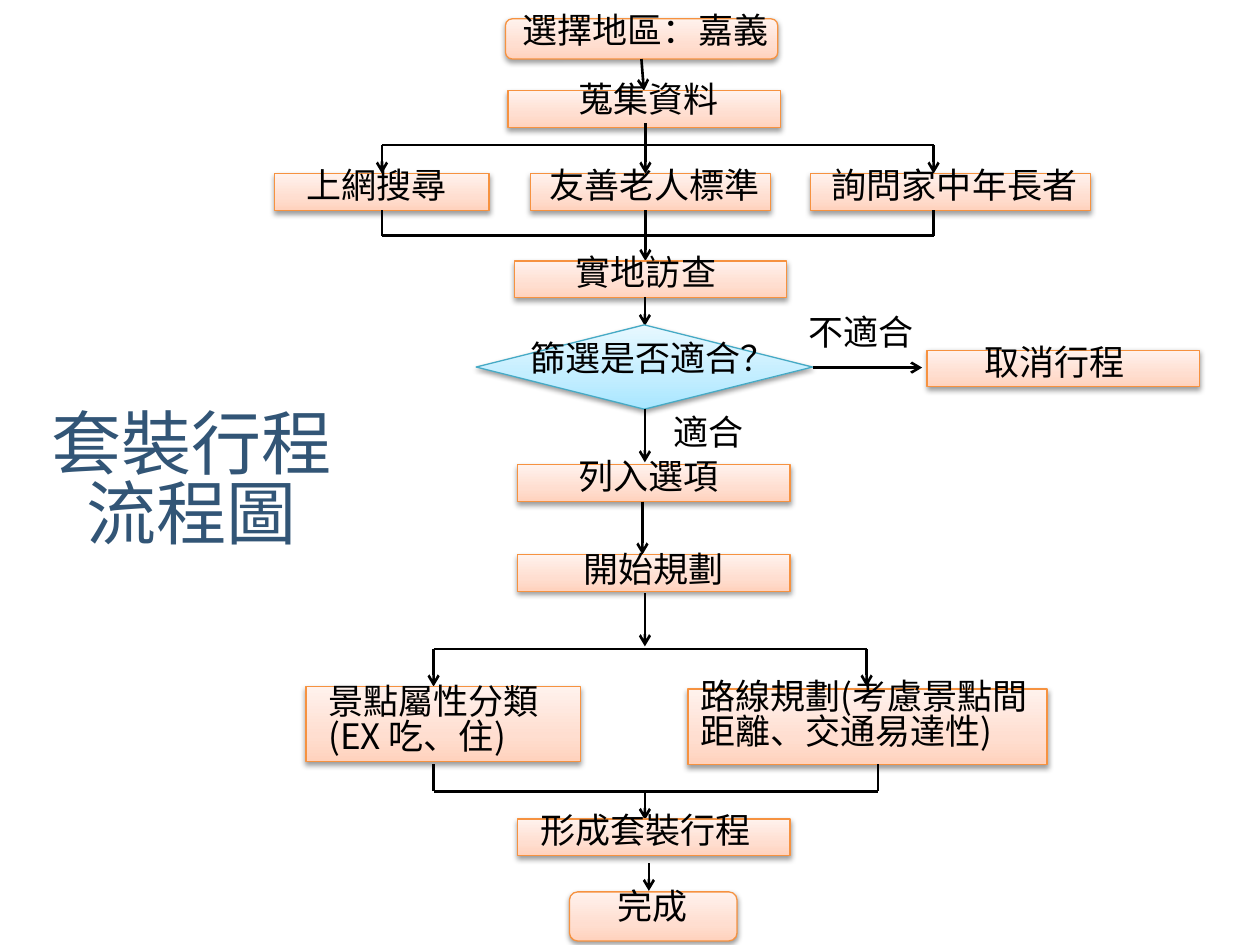
from dataclasses import dataclass

from lxml import etree
from pptx import Presentation
from pptx import util as u
from pptx.dml.color import RGBColor
from pptx.enum import shapes, text
from pptx.oxml.ns import qn

RECT = shapes.MSO_SHAPE.RECTANGLE
ROUND = shapes.MSO_SHAPE.ROUNDED_RECTANGLE
DIAMOND = shapes.MSO_SHAPE.DIAMOND


@dataclass(frozen=True)
class Theme:
    font: str = "Noto Sans CJK SC"
    body: int = 20
    heading: int = 40
    spacing: float = 0.84
    ink: str = "000000"
    title: str = "325576"
    step_fill: tuple = ("FFD2BD", "FFDED0", "FFF2ED")
    step_line: str = "F69240"
    choice_fill: tuple = ("A7E6FF", "C1EDFF", "E7F8FF")
    choice_line: str = "46AAC5"
    border: float = 0.75
    flow: float = 1.5


T = Theme()


@dataclass
class Region:
    """Part of the slide; its parts are placed in cm from its left top corner."""
    shapes: object
    left: float
    top: float

    def at(self, x, y):
        return u.Cm(self.left + x), u.Cm(self.top + y)


def add_colour(parent, colour, alpha=None):
    clr = etree.SubElement(parent, qn("a:srgbClr"), val=colour)
    if alpha:
        etree.SubElement(clr, qn("a:alpha"), val=str(alpha * 1000))


def add_text(rg, words, x, y, w, h=0.86, *, size=T.body, colour=T.ink, align=None):
    tb = rg.shapes.add_textbox(*rg.at(x, y), u.Cm(w), u.Cm(h))
    tf = tb.text_frame
    tf.word_wrap = True
    tf.auto_size = text.MSO_AUTO_SIZE.SHAPE_TO_FIT_TEXT
    for i, line in enumerate(words.split("\n")):
        p = tf.paragraphs[0] if i == 0 else tf.add_paragraph()
        p.alignment = align
        p.line_spacing = T.spacing
        r = p.add_run()
        r.text = line
        r.font.name = T.font
        r.font.size = u.Pt(size)
        r.font.color.rgb = RGBColor.from_string(colour)
        etree.SubElement(r.font._element, qn("a:ea"), typeface=T.font)


def add_node(rg, x, y, w, h, kind, fill, line):
    """Outlined shape with a three-stop upward gradient and a soft shadow."""
    s = rg.shapes.add_shape(kind, *rg.at(x, y), u.Cm(w), u.Cm(h))
    s.line.color.rgb = RGBColor.from_string(line)
    s.line.width = u.Pt(T.border)
    s.fill.gradient()
    s.fill.gradient_angle = 90
    stops = s._element.spPr.find(".//" + qn("a:gsLst"))
    for gs in list(stops):
        stops.remove(gs)
    for pos, colour in zip((0, 35, 100), fill):
        add_colour(etree.SubElement(stops, qn("a:gs"), pos=str(pos * 1000)), colour)
    s.shadow.inherit = False
    shadow = etree.SubElement(
        s._element.spPr.find(qn("a:effectLst")), qn("a:outerShdw"),
        blurRad=str(u.Pt(3.1)), dist=str(u.Pt(1.6)), dir="5400000", rotWithShape="0")
    add_colour(shadow, "000000", alpha=38)


def add_step(rg, words, x, y, dx, dw, *, w=5.49, h=0.74, dy=-0.19, dh=0.86,
             kind=RECT, fill=T.step_fill, line=T.step_line):
    """Node with its label, whose place (dx, dy) is measured from the node."""
    add_node(rg, x, y, w, h, kind, fill, line)
    add_text(rg, words, x + dx, y + dy, dw, dh)


def add_line(rg, x1, y1, x2, y2, arrow=False):
    c = rg.shapes.add_connector(shapes.MSO_CONNECTOR.STRAIGHT, *rg.at(x1, y1), *rg.at(x2, y2))
    c.line.color.rgb = RGBColor.from_string(T.ink)
    c.line.width = u.Pt(T.flow)
    if arrow:
        etree.SubElement(c.line._get_or_add_ln(), qn("a:tailEnd"), type="arrow")
    etree.SubElement(c._element.spPr, qn("a:effectLst"))


def add_fork(rg, xs, y, end):
    """Bar at height y with an arrow down from each x."""
    add_line(rg, xs[0], y, xs[-1], y)
    for x in xs:
        add_line(rg, x, y, x, end, arrow=True)


def add_join(rg, xs, start, y, axis, end):
    """Lines down to a bar at height y, then one arrow down the axis."""
    for x in xs:
        add_line(rg, x, start, x, y)
    add_line(rg, xs[0], y, xs[-1], y)
    add_line(rg, axis, y, axis, end, arrow=True)


def title(rg):
    add_text(rg, "套裝行程\n流程圖", 0, 0, 6.81, 3.68, size=T.heading,
             colour=T.title, align=text.PP_ALIGN.CENTER)


def gathering(rg):
    axis = 7.47
    branches = (2.16, axis, 13.28)
    add_step(rg, "選擇地區：嘉義", 4.65, 0, 0.1, 6.35, h=0.81, dh=1.12, kind=ROUND)
    add_line(rg, 7.39, 0.81, 7.44, 1.45, arrow=True)
    add_step(rg, "蒐集資料", 4.7, 1.45, 1.17, 4.5, dy=-0.25, dh=0.94)
    add_line(rg, axis, 2.11, axis, 2.54)
    add_fork(rg, branches, 2.54, 3.12)
    for words, x, w, dx, dw in (("上網搜尋", 0, 4.32, 0.38, 4.5),
                                ("友善老人標準", 5.16, 4.83, 0.13, 4.98),
                                ("詢問家中年長者", 10.8, 5.64, 0.18, 5.82)):
        add_step(rg, words, x, 3.12, dx, dw, w=w)
    add_join(rg, branches, 3.86, 4.37, axis, 4.88)
    add_step(rg, "實地訪查", 4.83, 4.88, 0.99, 4.5)


def screening(rg):
    axis = 3.4
    add_line(rg, axis, 0, axis, 0.58, arrow=True)
    add_step(rg, "篩選是否適合？", 0, 0.56, 0.84, 5.59, w=6.78, h=1.7, dy=0.25, dh=1.12,
             kind=DIAMOND, fill=T.choice_fill, line=T.choice_line)
    add_text(rg, "適合", 3.73, 2.29, 3.56)
    add_text(rg, "不適合", 6.45, 0.28, 3.56)
    add_line(rg, axis, 2.26, axis, 3.33, arrow=True)
    add_line(rg, 6.78, 1.42, 8.99, 1.42, arrow=True)
    add_step(rg, "取消行程", 9.09, 1.07, 0.91, 4.5)
    add_step(rg, "列入選項", 0.84, 3.38, 0.97, 4.5)


def planning(rg):
    axis, column = 6.83, 4.27
    add_line(rg, 6.78, 0, 6.78, 1.07, arrow=True)
    add_step(rg, "開始規劃", column, 1.07, 1.07, 4.5, dy=-0.13)
    add_line(rg, axis, 1.85, axis, 2.92, arrow=True)
    add_fork(rg, (2.57, 11.3), 2.97, 3.73)
    add_step(rg, "景點屬性分類(EX 吃、住)", 0, 3.73, 0.2, 5.54,
             w=5.54, h=1.52, dy=-0.13, dh=1.88)
    add_step(rg, "路線規劃(考慮景點間距離、交通易達性)", 7.7, 3.78, 0, 7.54,
             w=7.24, h=1.52, dy=-0.28, dh=1.96)
    add_join(rg, (2.57, 11.53), 5.3, 5.84, axis, 6.42)
    add_step(rg, "形成套裝行程", column, 6.4, 0.2, 6.83, dh=1.07)
    add_line(rg, 6.91, 7.29, 6.91, 7.85, arrow=True)
    add_step(rg, "完成", 5.31, 7.87, 0.71, 2.08, w=3.38, h=0.99,
             dy=-0.13, dh=1.12, kind=ROUND)


def main():
    prs = Presentation()
    prs.slide_width, prs.slide_height = u.Cm(25.4), u.Cm(19.05)
    sp = prs.slides.add_slide(prs.slide_layouts[6]).shapes
    gathering(Region(sp, 5.54, 0.38))
    screening(Region(sp, 9.6, 5.99))
    planning(Region(sp, 6.17, 10.11))
    title(Region(sp, 0.46, 8.2))
    prs.save("out.pptx")


if __name__ == "__main__":
    main()
